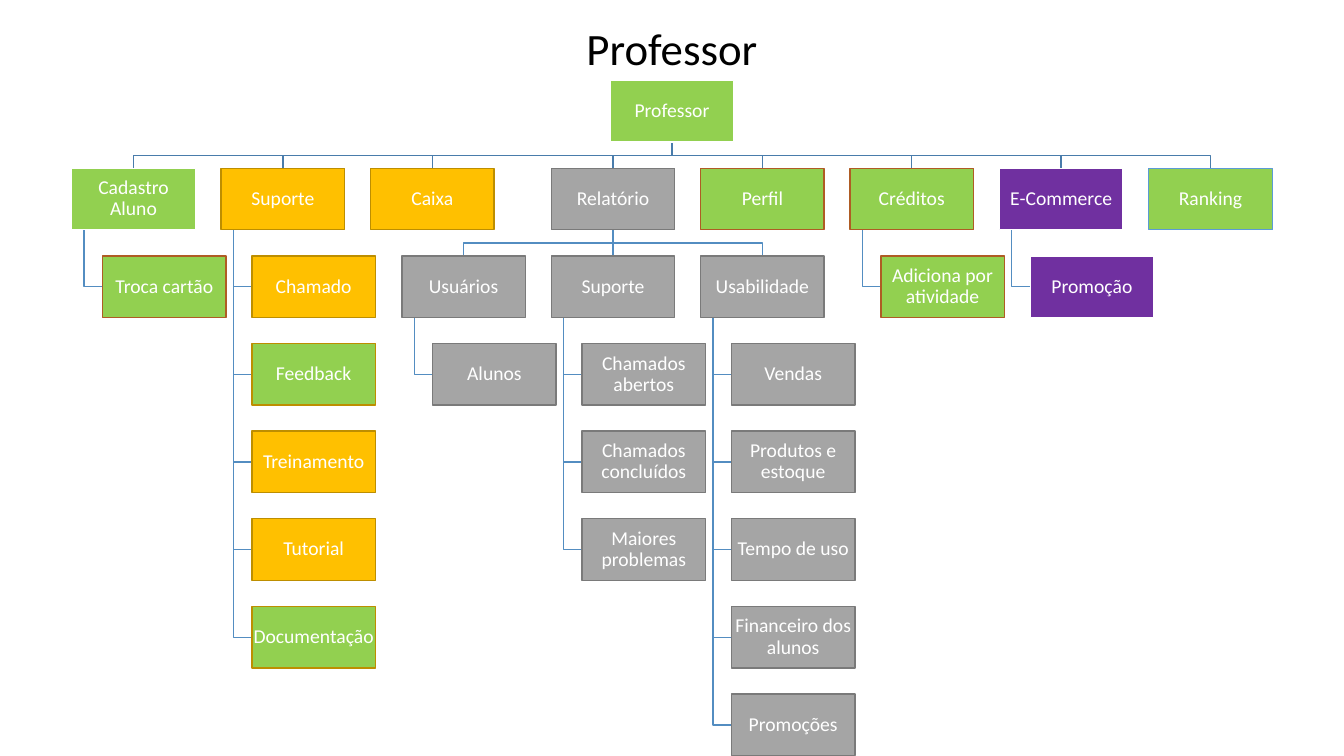
from dataclasses import dataclass, field

from pptx import Presentation
from pptx.dml.color import RGBColor
from pptx.enum.shapes import MSO_CONNECTOR, MSO_SHAPE
from pptx.enum.text import MSO_ANCHOR, MSO_AUTO_SIZE, PP_ALIGN
from pptx.oxml import parse_xml
from pptx.oxml.ns import nsdecls
from pptx.util import Pt

# Grid of the chart, in points
BOX_W, BOX_H = 88.2, 44
FIRST_LEFT, FIRST_TOP = 51.3, 57.6
COLUMN_STEP, ROW_STEP = 106.7, 62.6
HANG_INDENT, SPINE_INSET = 22, 8.8
LAST_COLUMN = 7.21

# Fill and outline of each kind of box
GREEN = ("92D050", "FFFFFF")
GREEN_RUST = ("92D050", "AF5C24")
GREEN_GOLD = ("92D050", "BD8E00")
GREEN_BLUE = ("92D050", "5B9BD5")
GOLD = ("FFC000", "BD8E00")
GRAY = ("A5A5A5", "7A7A7A")
PURPLE = ("7030A0", "FFFFFF")
ROOT_LINK, LOWER_LINK = "497CAB", "538DC1"


def color(value):
    return RGBColor.from_string(value)


@dataclass
class Topic:
    label: str
    colors: tuple
    column: float = None  # None: the topic hangs below its parent
    children: list = field(default_factory=list)
    left: float = 0
    top: float = 0

    def place(self, left, top):
        self.left, self.top = left, top
        for index, child in enumerate(self.children):
            if child.column is None:
                child.place(left + HANG_INDENT, top + ROW_STEP * (index + 1))
            else:
                child.place(FIRST_LEFT + COLUMN_STEP * child.column, top + ROW_STEP)

    def descend(self):
        yield self
        for child in self.children:
            yield from child.descend()

    def route_to(self, child):
        bottom = self.top + BOX_H
        if child.column is None:
            spine, middle = self.left + SPINE_INSET, child.top + BOX_H / 2
            return [(spine, bottom), (spine, middle), (child.left, middle)]
        start, end = self.left + BOX_W / 2, child.left + BOX_W / 2
        if self.column == child.column:
            return [(start, bottom), (end, child.top)]
        bus = (bottom + child.top) / 2
        return [(start, bottom), (start, bus), (end, bus), (end, child.top)]


class Chart:
    font = "Calibri"

    def __init__(self, slide):
        self.slide = slide

    def label(self, shape, text, size, ink, anchor):
        frame = shape.text_frame
        frame.text = text
        frame.word_wrap = True
        frame.auto_size = MSO_AUTO_SIZE.NONE
        frame.vertical_anchor = anchor
        paragraph = frame.paragraphs[0]
        paragraph.alignment = PP_ALIGN.CENTER
        paragraph.line_spacing = 0.9
        font = paragraph.runs[0].font
        font.name, font.size = self.font, Pt(size)
        font.color.rgb = color(ink)
        return frame

    def title(self, text, width, height):
        heading = self.slide.shapes.title
        heading.left, heading.top = Pt(0), Pt(0)
        heading.width, heading.height = Pt(width), Pt(height)
        self.label(heading, text, 32, "000000", MSO_ANCHOR.BOTTOM)

    def connect(self, points, ink):
        corners = [(Pt(x), Pt(y)) for x, y in points]
        if len(corners) == 2:
            line = self.slide.shapes.add_connector(
                MSO_CONNECTOR.STRAIGHT, *corners[0], *corners[1])
            line.element.spPr.append(parse_xml(f"<a:effectLst {nsdecls('a')}/>"))
        else:
            builder = self.slide.shapes.build_freeform(*corners[0])
            builder.add_line_segments(corners[1:], close=False)
            line = builder.convert_to_shape()
            line.fill.background()
            line.shadow.inherit = False
        line.line.color.rgb = color(ink)
        line.line.width = Pt(1)

    def box(self, topic):
        shape = self.slide.shapes.add_shape(
            MSO_SHAPE.RECTANGLE, Pt(topic.left), Pt(topic.top), Pt(BOX_W), Pt(BOX_H))
        fill, outline = topic.colors
        shape.shadow.inherit = False
        shape.fill.solid()
        shape.fill.fore_color.rgb = color(fill)
        shape.line.color.rgb = color(outline)
        shape.line.width = Pt(1)
        frame = self.label(shape, topic.label, 14, "FFFFFF", MSO_ANCHOR.MIDDLE)
        frame.margin_left = frame.margin_right = Pt(0.7)
        frame.margin_top = frame.margin_bottom = Pt(0.7)


def hanging(colors, *labels):
    return [Topic(label, colors) for label in labels]


# Content of the chart
support = [
    Topic("Chamado", GOLD),
    Topic("Feedback", GREEN_GOLD),
    Topic("Treinamento", GOLD),
    Topic("Tutorial", GOLD),
    Topic("Documentação", GREEN_GOLD),
]
reports = [
    Topic("Usuários", GRAY, 2.21, hanging(GRAY, "Alunos")),
    Topic("Suporte", GRAY, 3.21, hanging(
        GRAY, "Chamados abertos", "Chamados concluídos", "Maiores problemas")),
    Topic("Usabilidade", GRAY, 4.21, hanging(
        GRAY, "Vendas", "Produtos e estoque", "Tempo de uso",
        "Financeiro dos alunos", "Promoções")),
]
professor = Topic("Professor", GREEN, LAST_COLUMN / 2, [
    Topic("Cadastro Aluno", GREEN, 0, hanging(GREEN_RUST, "Troca cartão")),
    Topic("Suporte", GOLD, 1, support),
    Topic("Caixa", GOLD, 2),
    Topic("Relatório", GRAY, 3.21, reports),
    Topic("Perfil", GREEN_RUST, 4.21),
    Topic("Créditos", GREEN_RUST, 5.21, hanging(GREEN_RUST, "Adiciona por atividade")),
    Topic("E-Commerce", PURPLE, 6.21, hanging(PURPLE, "Promoção")),
    Topic("Ranking", GREEN_BLUE, LAST_COLUMN),
])
professor.place(FIRST_LEFT + COLUMN_STEP * professor.column, FIRST_TOP)

# Slide with its title
presentation = Presentation()
presentation.slide_width, presentation.slide_height = Pt(960), Pt(540)
slide = presentation.slides.add_slide(presentation.slide_layouts[0])
subtitle = slide.placeholders[1].element
subtitle.getparent().remove(subtitle)
chart = Chart(slide)
chart.title("Professor", 960, FIRST_TOP)

# Links first, so that the boxes lie above them
for topic in professor.descend():
    for child in topic.children:
        chart.connect(topic.route_to(child), ROOT_LINK if topic is professor else LOWER_LINK)
for topic in professor.descend():
    chart.box(topic)

presentation.save("out.pptx")
